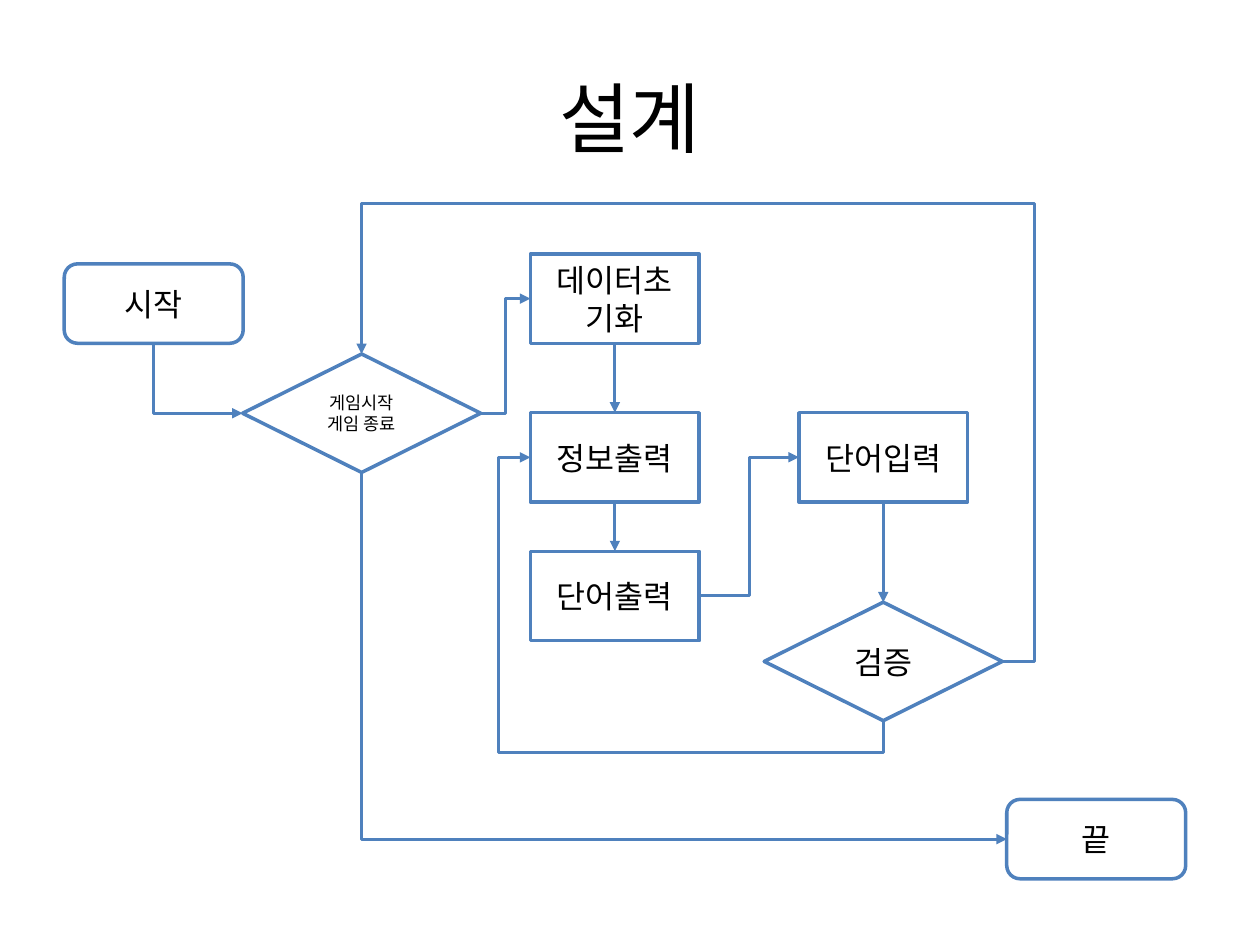
from lxml.etree import SubElement
from pptx import Presentation
from pptx.dml.color import RGBColor
from pptx.enum.shapes import MSO_CONNECTOR, MSO_SHAPE
from pptx.enum.text import MSO_ANCHOR, PP_ALIGN
from pptx.oxml.ns import qn
from pptx.util import Inches, Pt

BLUE = RGBColor(0x4F, 0x81, 0xBD)
BLACK = RGBColor(0, 0, 0)
FACE = "Noto Sans CJK KR"
TOP, LEFT, BOTTOM, RIGHT = range(4)


def write(frame, text, size):
    """Fill a text frame with centred black text."""
    frame.text = text
    frame.vertical_anchor = MSO_ANCHOR.MIDDLE
    for para in frame.paragraphs:
        para.alignment = PP_ALIGN.CENTER
        font = para.font
        font.size = Pt(size)
        font.color.rgb = BLACK
        font.name = FACE
        SubElement(para._p.pPr.find(qn("a:defRPr")), qn("a:ea"), typeface=FACE)


def link(start, out, end, into, kind, turn=0, flips="", bends=()):
    """Join two boxes with an arrow; turn, flips and bends shape its route."""
    line = slide.shapes.add_connector(MSO_CONNECTOR.STRAIGHT, 0, 0, 0, 0)
    line.begin_connect(boxes[start], out)
    line.end_connect(boxes[end], into)
    line.line.color.rgb = BLUE
    line.line.width = Pt(1.75)
    props = line.element.spPr
    SubElement(props.find(qn("a:ln")), qn("a:tailEnd"), type="triangle")
    SubElement(props, qn("a:effectLst"))
    if kind == "line":
        return
    frame = props.find(qn("a:xfrm"))
    for axis in "HV":
        frame.set("flip" + axis, str(int(axis in flips)))
    if turn:
        wide, high = line.width, line.height
        line.left += (wide - high) // 2
        line.top += (high - wide) // 2
        line.width, line.height = high, wide
        frame.set("rot", str(turn * 60000))
    shape = props.find(qn("a:prstGeom"))
    shape.set("prst", kind)
    guides = shape.find(qn("a:avLst"))
    for num, bend in enumerate(bends, 1):
        SubElement(guides, qn("a:gd"), name=f"adj{num}",
                   fmla=f"val {round(bend * 100000)}")


deck = Presentation()
deck.slide_width, deck.slide_height = Inches(10), Inches(7.5)
slide = deck.slides.add_slide(deck.slide_layouts[5])

title = slide.shapes.title
title.left, title.top = Inches(0.5), Inches(0.3)
title.width, title.height = Inches(9), Inches(1.25)
write(title.text_frame, "설계", 44)

# Each form has one size; columns and rows give box centres
FORMS = {
    "end": (MSO_SHAPE.ROUNDED_RECTANGLE, 1.42, 0.63),
    "test": (MSO_SHAPE.DIAMOND, 1.89, 0.94),
    "step": (MSO_SHAPE.RECTANGLE, 1.34, 0.71),
}
COLS = [1.22, 2.87, 4.88, 7.01, 8.7]
ROWS = [2.37, 2.41, 3.28, 3.63, 4.73, 5.25, 6.66]
BOXES = [
    ("start", "end", 0, 1, "시작", 18),
    ("stop", "end", 4, 6, "끝", 18),
    ("menu", "test", 1, 2, "게임시작\n게임 종료", 10),
    ("reset", "step", 2, 0, "데이터초기화", 18),
    ("info", "step", 2, 3, "정보출력", 18),
    ("show", "step", 2, 4, "단어출력", 18),
    ("input", "step", 3, 3, "단어입력", 18),
    ("check", "test", 3, 5, "검증", 18),
]
boxes = {}
for name, form, col, row, text, size in BOXES:
    kind, wide, high = FORMS[form]
    box = slide.shapes.add_shape(
        kind, Inches(COLS[col] - wide / 2), Inches(ROWS[row] - high / 2),
        Inches(wide), Inches(high))
    box.shadow.inherit = False
    box.fill.background()
    box.line.color.rgb = BLUE
    box.line.width = Pt(2)
    write(box.text_frame, text, size)
    boxes[name] = box

LINKS = [
    ("start", BOTTOM, "menu", LEFT, "bentConnector2", 270, "H"),
    ("menu", BOTTOM, "stop", LEFT, "bentConnector2", 270, "H"),
    ("menu", RIGHT, "reset", LEFT, "bentConnector3", 0, "V", [0.5]),
    ("reset", BOTTOM, "info", TOP, "line"),
    ("info", BOTTOM, "show", TOP, "line"),
    ("show", RIGHT, "input", LEFT, "bentConnector3", 0, "V", [0.5]),
    ("input", BOTTOM, "check", TOP, "line"),
    ("check", BOTTOM, "info", LEFT, "bentConnector4", 90, "H", [-0.12, 1.09]),
    ("check", RIGHT, "menu", TOP, "bentConnector4", 0, "HV", [-0.05, 1.49]),
]
for route in LINKS:
    link(*route)

deck.save("out.pptx")
